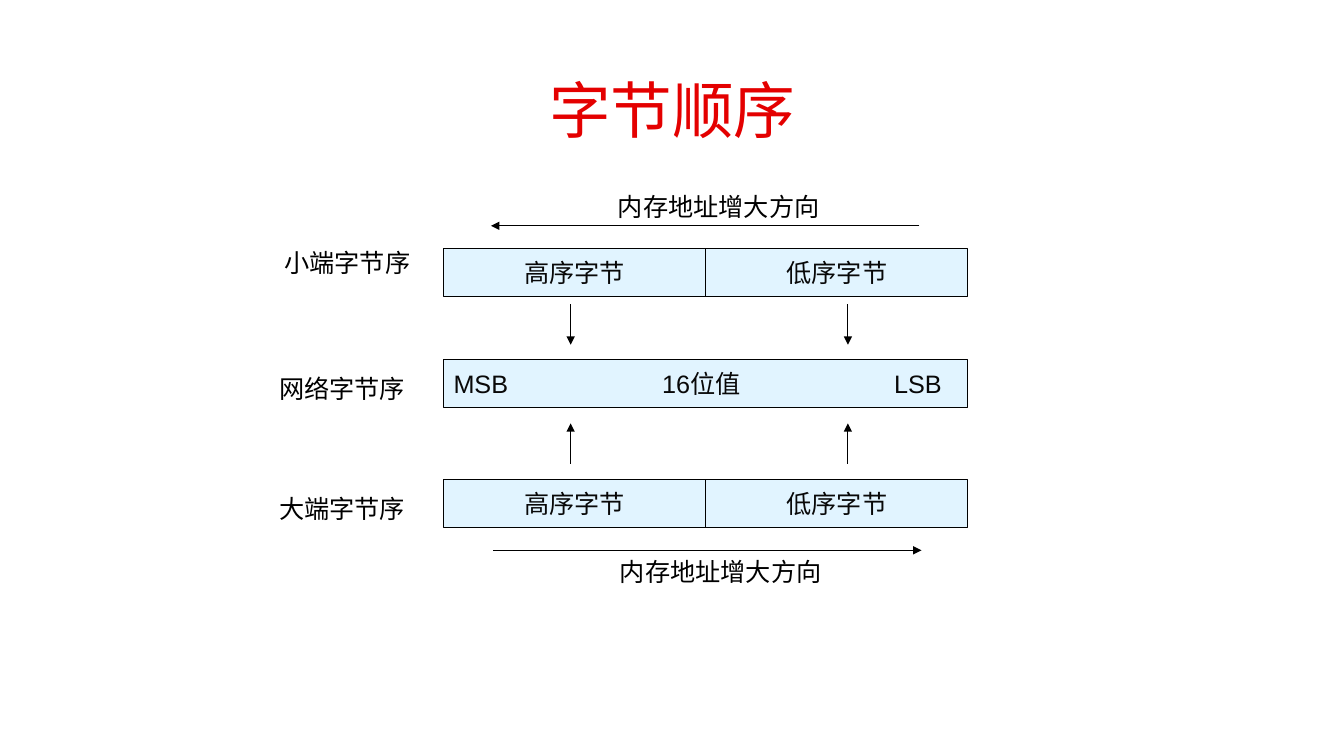
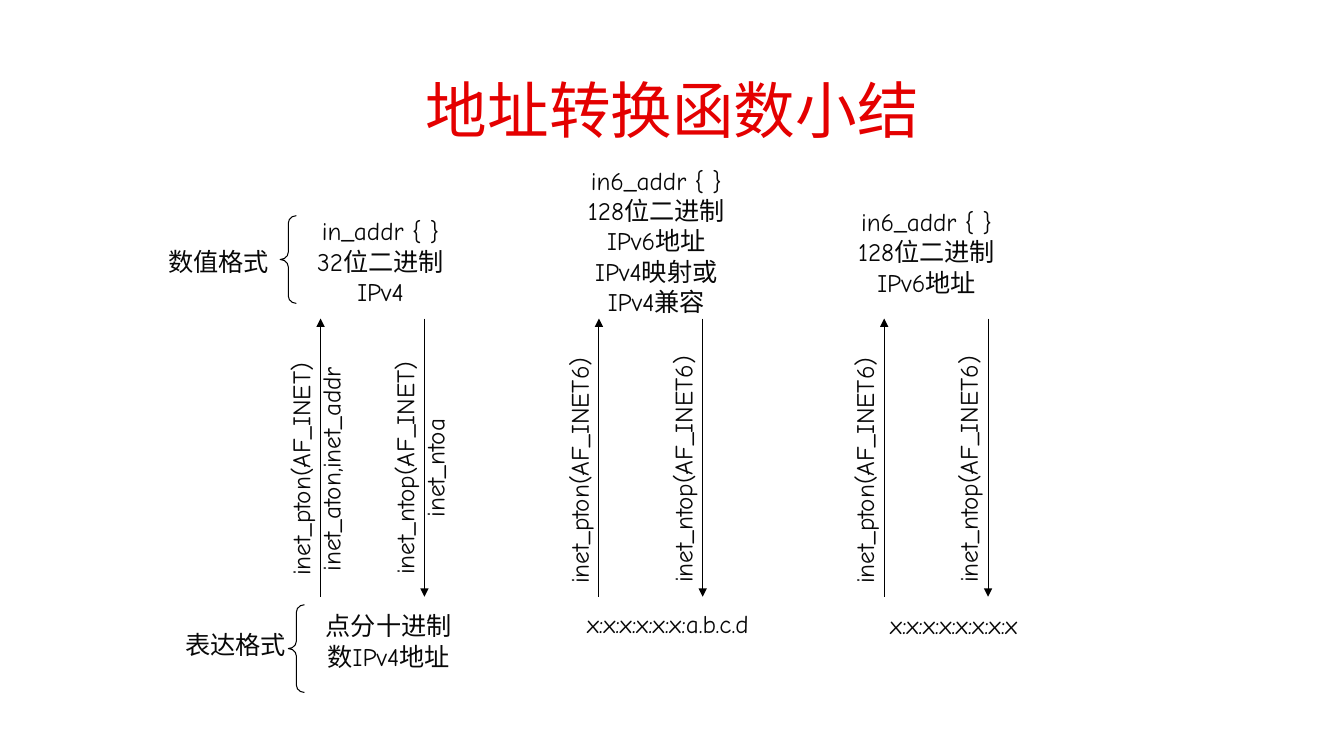
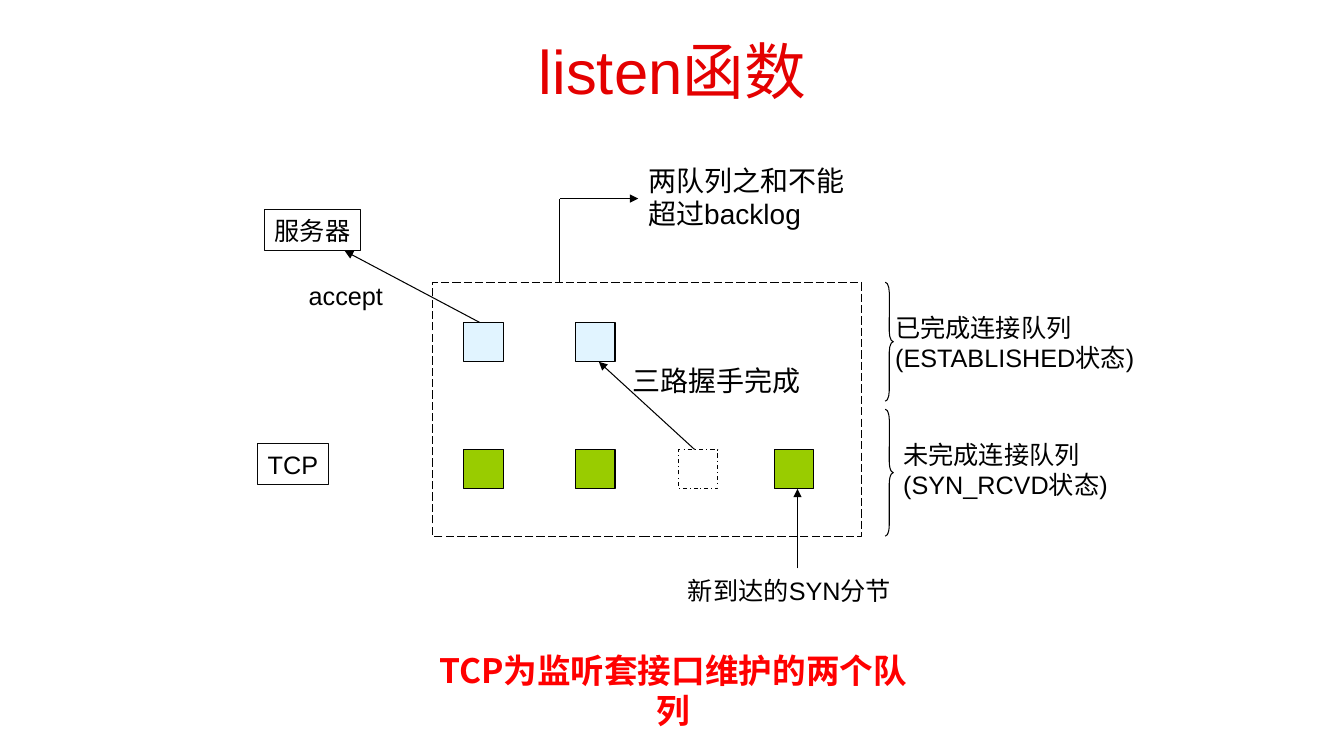
from dataclasses import dataclass

from lxml.etree import SubElement
from pptx import Presentation
from pptx.dml.color import RGBColor
from pptx.enum.dml import MSO_LINE as Dash
from pptx.enum.shapes import MSO_CONNECTOR as Link, MSO_SHAPE as Kind
from pptx.enum.text import MSO_ANCHOR as Anchor, MSO_AUTO_SIZE as Fit, PP_ALIGN as Align
from pptx.oxml.ns import qn
from pptx.util import Inches, Pt

# Shared style
RED, BRIGHT = "E40000", "FF0000"
BLACK, INK = "000000", "080808"
BLUE, GREEN = "E1F4FF", "99CC00"
SANS, COMIC, NOTO = "Arial", "Comic Neue", "Noto Sans CJK JP"
THIN = Pt(0.75)


@dataclass(frozen=True)
class Style:
    size: int = 18
    font: str = SANS
    color: str = BLACK
    bold: bool = False
    align: Align = Align.LEFT


PLAIN = Style()
MID = Style(align=Align.CENTER)
CELL = Style(color=INK, align=Align.CENTER)
CODE = Style(font=COMIC, color=INK, align=Align.CENTER)
HEAD = Style(44, color=RED, align=Align.CENTER)


@dataclass(frozen=True)
class Label:
    text: str
    left: float
    top: float
    width: float
    style: Style = PLAIN
    wrap: bool = False


@dataclass(frozen=True)
class Column:
    up: float
    top: Label
    foot: Label
    rise: str
    fall: str


# Drawing helpers
def rgb(code: str) -> RGBColor:
    return RGBColor.from_string(code)


def write(frame, text: str, style: Style) -> None:
    frame.text = text
    for para in frame.paragraphs:
        para.alignment = style.align
        for run in para.runs:
            font = run.font
            font.size, font.name, font.bold = Pt(style.size), style.font, style.bold
            font.color.rgb = rgb(style.color)


def label(slide, item: Label):
    count = item.text.count("\n") + 1
    height = count * item.style.size / 60 + 0.1
    box = slide.shapes.add_textbox(
        Inches(item.left), Inches(item.top), Inches(item.width), Inches(height))
    write(box.text_frame, item.text, item.style)
    box.text_frame.word_wrap = item.wrap
    box.text_frame.auto_size = Fit.SHAPE_TO_FIT_TEXT
    return box


def upright(slide, text: str, left: float, center: float) -> None:
    """Text that reads upwards, centred on a height."""
    lines = text.split("\n")
    width = 0.3 * len(lines) + 0.2
    height = 2.72 if len(lines) == 1 else 2.56
    box = slide.shapes.add_textbox(
        Inches(left), Inches(center - height / 2), Inches(width), Inches(height))
    box.rotation = 180
    frame = box.text_frame
    write(frame, text, CODE)
    frame.word_wrap = False
    frame.auto_size = Fit.SHAPE_TO_FIT_TEXT
    frame._txBody.bodyPr.set("vert", "eaVert")


def shape(slide, left: float, top: float, width: float, height: float,
          fill: str = "", kind: Kind = Kind.RECTANGLE, dash: Dash | None = None,
          text: str = "", style: Style = CELL, edge: str = BLACK):
    part = slide.shapes.add_shape(
        kind, Inches(left), Inches(top), Inches(width), Inches(height))
    part.shadow.inherit = False
    if fill:
        part.fill.solid()
        part.fill.fore_color.rgb = rgb(fill)
    else:
        part.fill.background()
    part.line.color.rgb = rgb(edge)
    part.line.width = THIN
    if dash is not None:
        part.line.dash_style = dash
    if text:
        frame = part.text_frame
        write(frame, text, style)
        frame.word_wrap = False
        frame.vertical_anchor = Anchor.MIDDLE
    return part


def brace(slide, kind: Kind, left: float, top: float, width: float,
          height: float, bend: float) -> None:
    part = shape(slide, left, top, width, height, kind=kind)
    part.adjustments[0] = bend
    part.adjustments[1] = 0.5


def line(slide, x1: float, y1: float, x2: float, y2: float, tip: bool = True) -> None:
    link = slide.shapes.add_connector(
        Link.STRAIGHT, Inches(x1), Inches(y1), Inches(x2), Inches(y2))
    link.line.color.rgb = rgb(BLACK)
    link.line.width = THIN
    if tip:
        SubElement(link.line._get_or_add_ln(), qn("a:tailEnd"), type="triangle")
    SubElement(link._element.spPr, qn("a:effectLst"))


def tabs(para, *stops: float) -> None:
    group = SubElement(para._p.get_or_add_pPr(), qn("a:tabLst"))
    for stop in stops:
        SubElement(group, qn("a:tab"), pos=str(Inches(stop)), algn="l")


def begin(deck, title: str, top: float = 0.4):
    slide = deck.slides.add_slide(deck.slide_layouts[6])
    box = slide.shapes.add_textbox(
        Inches(0.92), Inches(top), Inches(11.5), Inches(1.45))
    frame = box.text_frame
    frame.word_wrap = True
    frame.vertical_anchor = Anchor.MIDDLE
    write(frame, title, HEAD)
    frame.paragraphs[0].line_spacing = 0.9
    return slide


# Slide 1: byte order
def order(deck) -> None:
    slide = begin(deck, "字节顺序")
    left, half, tall = 4.4, 2.6, 0.47
    for top in (2.47, 4.76):
        for col, text in enumerate(("高序字节", "低序字节")):
            shape(slide, left + col * half, top, half, tall, BLUE, text=text)

    word = shape(slide, left, 3.57, 2 * half, tall, BLUE,
                 text="MSB\t16位值\tLSB", style=Style(color=INK))
    word.text_frame.word_wrap = True
    tabs(word.text_frame.paragraphs[0], 2.07, 4.37)

    line(slide, 9.12, 2.24, 4.87, 2.24)
    line(slide, 4.89, 5.46, 9.14, 5.46)
    for x in (5.66, 8.41):
        line(slide, x, 3.02, x, 3.42)
        line(slide, x, 4.6, x, 4.2)

    for item in (
        Label("内存地址增大方向", 6.03, 1.85, 2.2),
        Label("内存地址增大方向", 6.05, 5.47, 2.2),
        Label("小端字节序", 2.72, 2.4, 1.45),
        Label("网络字节序", 2.67, 3.65, 1.45),
        Label("大端字节序", 2.67, 4.84, 1.45),
    ):
        label(slide, item)


# Slide 2: address conversion
def convert(deck) -> None:
    slide = begin(deck, "地址转换函数小结")
    rise, fall = "inet_pton(AF_INET6)", "inet_ntop(AF_INET6)"
    columns = (
        Column(3.18,
               Label("in_addr { }\n32位二进制\nIPv4", 3.02, 2.09, 1.51, CODE, True),
               Label("点分十进制\n数IPv4地址", 3.11, 6.01, 1.49, CODE, True),
               "inet_pton(AF_INET)\ninet_aton,inet_addr",
               "inet_ntop(AF_INET)\ninet_ntoa"),
        Column(5.94,
               Label("in6_addr { }\n128位二进制\nIPv6地址\nIPv4映射或\nIPv4兼容",
                     5.7, 1.59, 1.62, CODE),
               Label("x:x:x:x:x:x:a.b.c.d", 5.49, 5.99, 2.27, CODE),
               rise, fall),
        Column(8.77,
               Label("in6_addr { }\n128位二进制\nIPv6地址", 8.38, 2, 1.62, CODE),
               Label("x:x:x:x:x:x:x:x", 8.51, 6, 1.9, CODE),
               rise, fall),
    )
    high, low, gap = 3.16, 5.92, 1.03
    for col in columns:
        down = col.up + gap
        line(slide, col.up, low, col.up, high)
        line(slide, down, high, down, low)
        upright(slide, col.rise, col.up - 0.4, 4.53)
        upright(slide, col.fall, down - 0.4, 4.52)
        label(slide, col.top)
        label(slide, col.foot)

    for left, top in ((2.78, 2.14), (2.86, 6)):
        brace(slide, Kind.LEFT_BRACE, left, top, 0.16, 0.87, 0.46)
    side = Style(color=INK)
    label(slide, Label("数值格式", 1.57, 2.39, 1.2, side))
    label(slide, Label("表达格式", 1.74, 6.19, 1.2, side))


# Slide 3: listen queues
def listen(deck) -> None:
    slide = begin(deck, "listen函数", 0.01)
    side, done, wait = 0.39, 3.2, 4.46
    for left in (4.6, 5.71):
        shape(slide, left, done, side, side, BLUE)
    for left in (4.6, 5.71, 7.68):
        shape(slide, left, wait, side, side, GREEN)
    shape(slide, 6.73, wait, side, side, dash=Dash.DASH_DOT)
    shape(slide, 4.29, 2.8, 4.25, 2.52, dash=Dash.LONG_DASH)

    # Arrows
    line(slide, 6.89, wait, 5.94, done + side)
    line(slide, 5.55, 2.8, 5.55, 1.97, tip=False)
    line(slide, 5.55, 1.97, 6.33, 1.97)
    line(slide, 7.91, 5.64, 7.91, wait + side)
    line(slide, 4.76, done, 3.42, 2.49)

    # Braces and end points
    brace(slide, Kind.RIGHT_BRACE, 8.78, 2.8, 0.08, 1.18, 1.26)
    brace(slide, Kind.RIGHT_BRACE, 8.78, 4.06, 0.08, 1.26, 1.34)
    shape(slide, 2.62, 2.08, 0.96, 0.41, text="服务器", style=MID, edge=INK)
    shape(slide, 2.55, 4.4, 0.71, 0.41, text="TCP", style=MID, edge=INK)

    for item in (
        Label("三路握手完成", 6.17, 3.56, 1.87, Style(20, align=Align.CENTER)),
        Label("两队列之和不能\n超过backlog", 6.33, 1.57, 2.36, Style(20), True),
        Label("已完成连接队列\n(ESTABLISHED状态)", 8.78, 3.05, 2.59, wrap=True),
        Label("未完成连接队列\n(SYN_RCVD状态)", 8.86, 4.31, 2.23, wrap=True),
        Label("新到达的SYN分节", 6.72, 5.66, 2.22, MID, True),
        Label("accept", 2.96, 2.73, 0.94, MID),
        Label("TCP为监听套接口维护的两个队列", 4.16, 6.4, 5.03,
              Style(24, NOTO, BRIGHT, True, Align.CENTER), True),
    ):
        label(slide, item)


def main() -> None:
    deck = Presentation()
    deck.slide_width, deck.slide_height = Inches(13.33), Inches(7.5)
    for build in (order, convert, listen):
        build(deck)
    deck.save("out.pptx")


if __name__ == "__main__":
    main()
